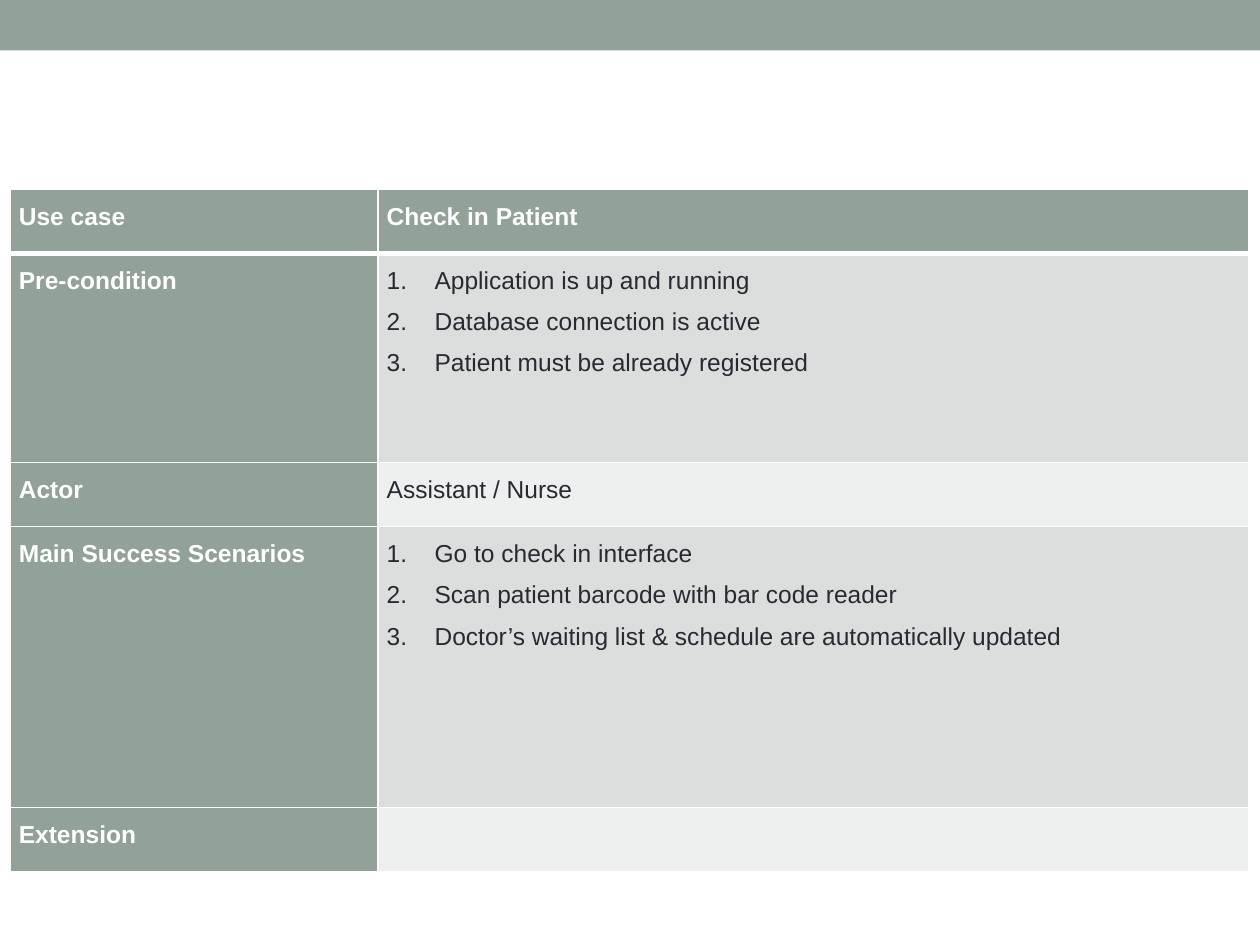
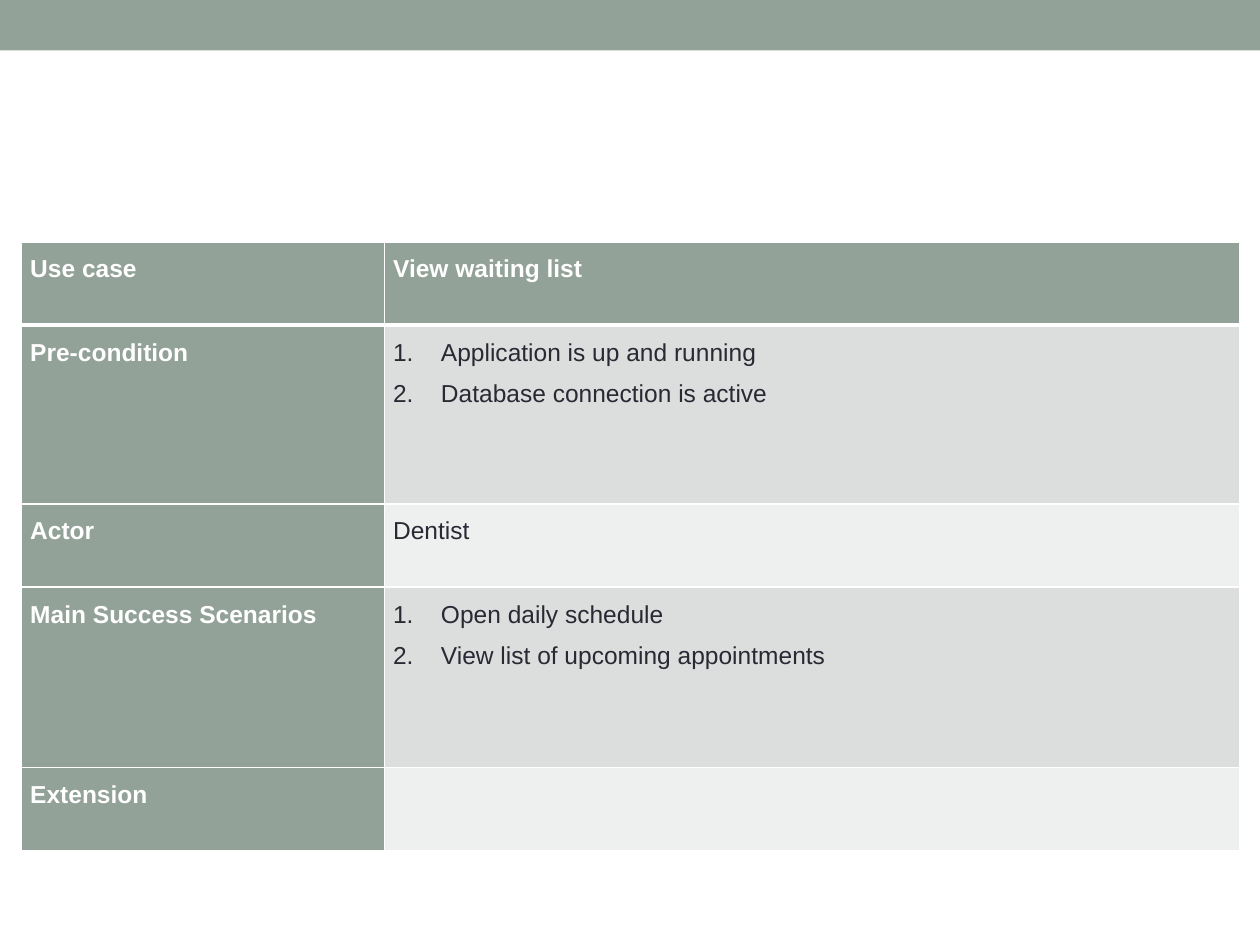
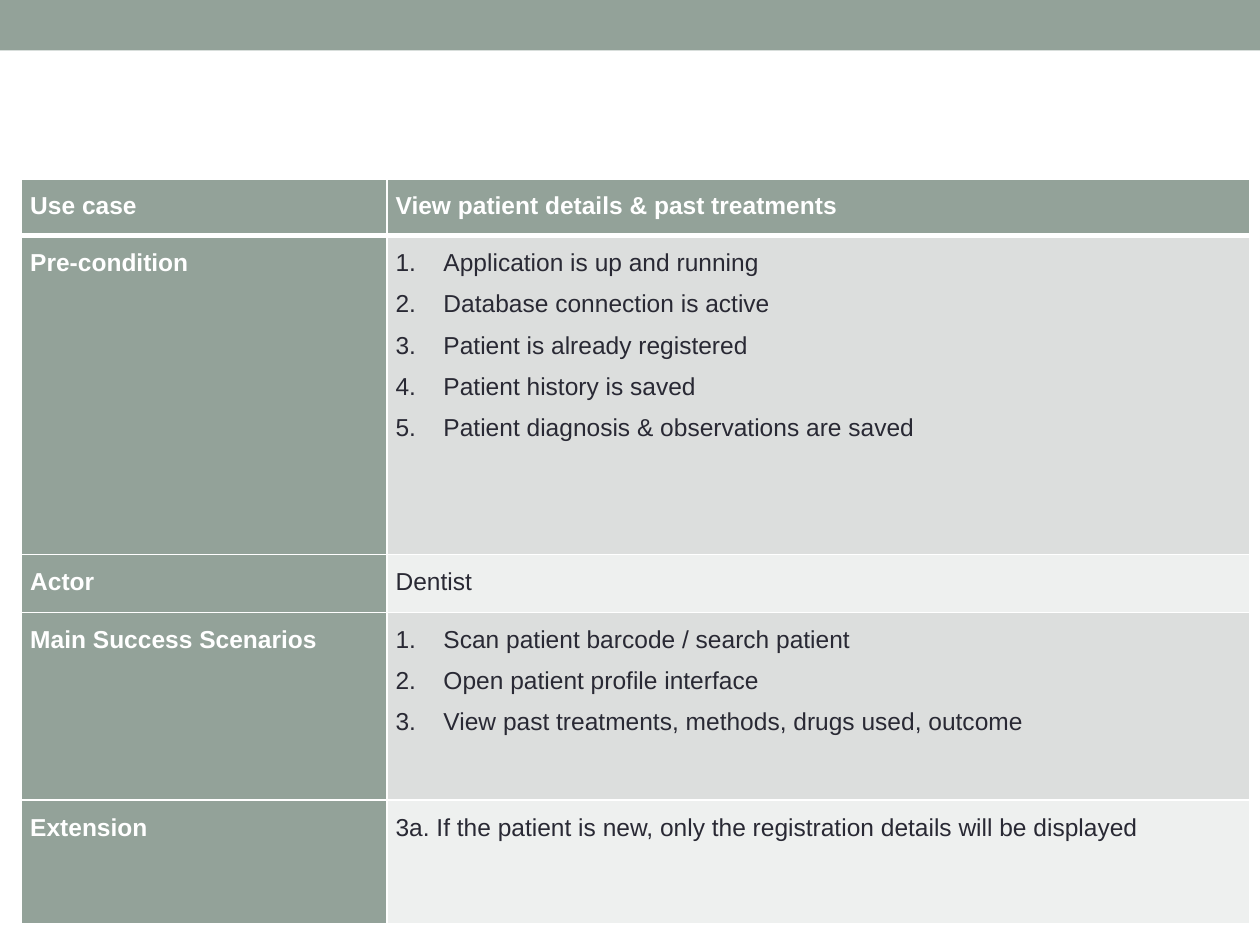
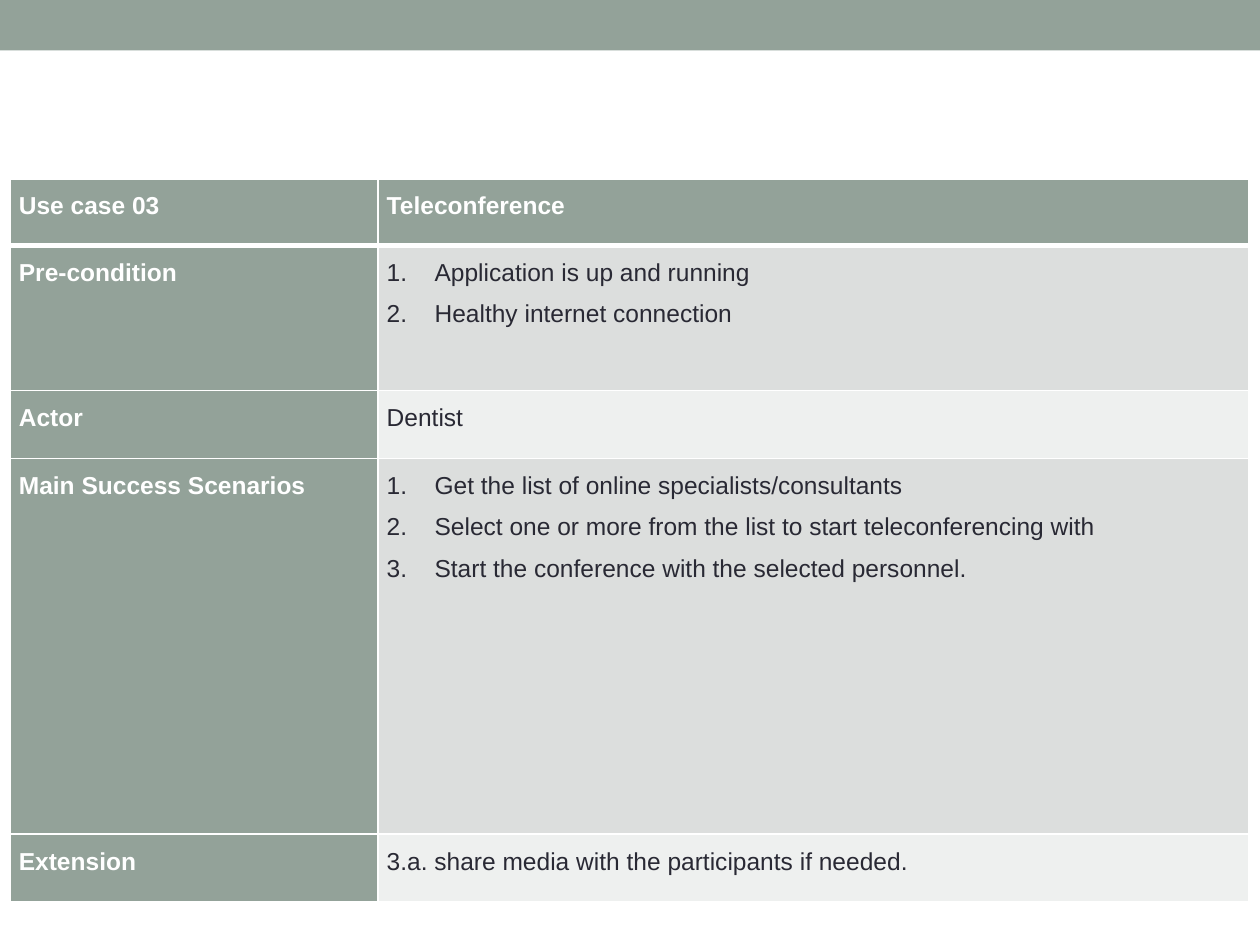
"""Build four use case tables for a dental clinic application."""
from dataclasses import dataclass

from lxml.etree import SubElement
from pptx import Presentation
from pptx.dml.color import RGBColor
from pptx.enum.shapes import MSO_SHAPE
from pptx.oxml.ns import qn
from pptx.slide import Slide
from pptx.table import _Cell as Cell
from pptx.text.text import _Paragraph as Paragraph
from pptx.util import Inches, Pt


@dataclass(frozen=True)
class Theme:
    accent: str = "93A299"
    dark_band: str = "DCDEDD"
    light_band: str = "EEF0EF"
    dark_text: str = "292934"
    light_text: str = "FFFFFF"
    border: str = "FFFFFF"
    font_name: str = "Arial"
    font_size: int = 14
    line_spacing: float = 1.5
    thin_border: int = 1
    thick_border: int = 3
    cell_margin: float = 0.07
    number_indent: float = 0.38


@dataclass(frozen=True)
class UseCase:
    name: str
    preconditions: tuple[str, ...]
    actor: str
    scenarios: tuple[str, ...]
    left: float
    top: float
    column_widths: tuple[float, float]
    row_heights: tuple[float, ...]
    extension: str = ""
    heading: str = "Use case"


THEME = Theme()
SLIDE_WIDTH, SLIDE_HEIGHT, BAND_HEIGHT = 10, 7.5, 0.4
BLANK_LAYOUT = 6
RUNNING = "Application is up and running"
DATABASE = "Database connection is active"

USE_CASES = (
    UseCase(
        name="Check in Patient",
        preconditions=(RUNNING, DATABASE, "Patient must be already registered"),
        actor="Assistant / Nurse",
        scenarios=(
            "Go to check in interface",
            "Scan patient barcode with bar code reader",
            "Doctor’s waiting list & schedule are automatically updated",
        ),
        left=0.08,
        top=1.5,
        column_widths=(2.92, 6.91),
        row_heights=(0.51, 1.66, 0.51, 2.23, 0.51),
    ),
    UseCase(
        name="View waiting list",
        preconditions=(RUNNING, DATABASE),
        actor="Dentist",
        scenarios=("Open daily schedule", "View list of upcoming appointments"),
        left=0.17,
        top=1.92,
        column_widths=(2.88, 6.79),
        row_heights=(0.66, 1.42, 0.66, 1.43, 0.66),
    ),
    UseCase(
        name="View patient details & past treatments",
        preconditions=(
            RUNNING,
            DATABASE,
            "Patient is already registered",
            "Patient history is saved",
            "Patient diagnosis & observations are saved",
        ),
        actor="Dentist",
        scenarios=(
            "Scan patient barcode / search patient",
            "Open patient profile interface",
            "View past treatments, methods, drugs used, outcome",
        ),
        left=0.17,
        top=1.42,
        column_widths=(2.9, 6.85),
        row_heights=(0.45, 2.53, 0.46, 1.49, 0.98),
        extension="3a. If the patient is new, only the registration details will be displayed",
    ),
    UseCase(
        name="Teleconference",
        preconditions=(RUNNING, "Healthy internet connection"),
        actor="Dentist",
        scenarios=(
            "Get the list of online specialists/consultants",
            "Select one or more from the list to start teleconferencing with",
            "Start the conference with the selected personnel.",
        ),
        left=0.08,
        top=1.42,
        column_widths=(2.92, 6.91),
        row_heights=(0.53, 1.15, 0.54, 2.98, 0.54),
        extension="3.a. share media with the participants if needed.",
        heading="Use case 03",
    ),
)


def add_top_band(slide: Slide) -> None:
    band = slide.shapes.add_shape(
        MSO_SHAPE.RECTANGLE, 0, 0, Inches(SLIDE_WIDTH), Inches(BAND_HEIGHT)
    )
    band.shadow.inherit = False
    band.fill.solid()
    band.fill.fore_color.rgb = RGBColor.from_string(THEME.accent)
    band.line.fill.background()


def add_borders(cell: Cell, row_index: int) -> None:
    properties = cell._tc.get_or_add_tcPr()
    for side in ("lnL", "lnR", "lnT", "lnB"):
        thick = (row_index, side) in ((0, "lnB"), (1, "lnT"))
        width = THEME.thick_border if thick else THEME.thin_border
        line = SubElement(properties, qn(f"a:{side}"), w=str(Pt(width)))
        fill = SubElement(line, qn("a:solidFill"))
        SubElement(fill, qn("a:srgbClr"), val=THEME.border)


def number_paragraph(paragraph: Paragraph) -> None:
    properties = paragraph._p.get_or_add_pPr()
    indent = Inches(THEME.number_indent)
    properties.set("marL", str(indent))
    properties.set("indent", str(-indent))
    SubElement(properties, qn("a:buFont"), typeface=THEME.font_name)
    SubElement(properties, qn("a:buAutoNum"), type="arabicPeriod")


def fill_cell(cell: Cell, content: str | tuple[str, ...], fill: str, emphasis: bool) -> None:
    cell.margin_left = cell.margin_right = Inches(THEME.cell_margin)
    cell.margin_top = cell.margin_bottom = 0
    cell.fill.solid()
    cell.fill.fore_color.rgb = RGBColor.from_string(fill)
    if not content:
        return
    numbered = isinstance(content, tuple)
    cell.text_frame.text = "\n".join(content) if numbered else content
    color = THEME.light_text if emphasis else THEME.dark_text
    for paragraph in cell.text_frame.paragraphs:
        paragraph.line_spacing = THEME.line_spacing
        if numbered:
            number_paragraph(paragraph)
        for run in paragraph.runs:
            run.font.name = THEME.font_name
            run.font.size = Pt(THEME.font_size)
            run.font.bold = emphasis
            run.font.color.rgb = RGBColor.from_string(color)


def add_use_case_table(slide: Slide, use_case: UseCase) -> None:
    rows = (
        (use_case.heading, use_case.name),
        ("Pre-condition", use_case.preconditions),
        ("Actor", use_case.actor),
        ("Main Success Scenarios", use_case.scenarios),
        ("Extension", use_case.extension),
    )
    table = slide.shapes.add_table(
        len(rows),
        len(use_case.column_widths),
        Inches(use_case.left),
        Inches(use_case.top),
        Inches(sum(use_case.column_widths)),
        Inches(sum(use_case.row_heights)),
    ).table
    table.horz_banding = False
    for column, width in zip(table.columns, use_case.column_widths):
        column.width = Inches(width)
    for row_index, (contents, height) in enumerate(zip(rows, use_case.row_heights)):
        table.rows[row_index].height = Inches(height)
        band_fill = THEME.dark_band if row_index % 2 else THEME.light_band
        for column_index, content in enumerate(contents):
            cell = table.cell(row_index, column_index)
            emphasis = row_index == 0 or column_index == 0
            add_borders(cell, row_index)
            fill_cell(cell, content, THEME.accent if emphasis else band_fill, emphasis)


def main() -> None:
    presentation = Presentation()
    presentation.slide_width = Inches(SLIDE_WIDTH)
    presentation.slide_height = Inches(SLIDE_HEIGHT)
    layout = presentation.slide_layouts[BLANK_LAYOUT]
    for use_case in USE_CASES:
        slide = presentation.slides.add_slide(layout)
        add_top_band(slide)
        add_use_case_table(slide, use_case)
    presentation.save("out.pptx")


if __name__ == "__main__":
    main()
